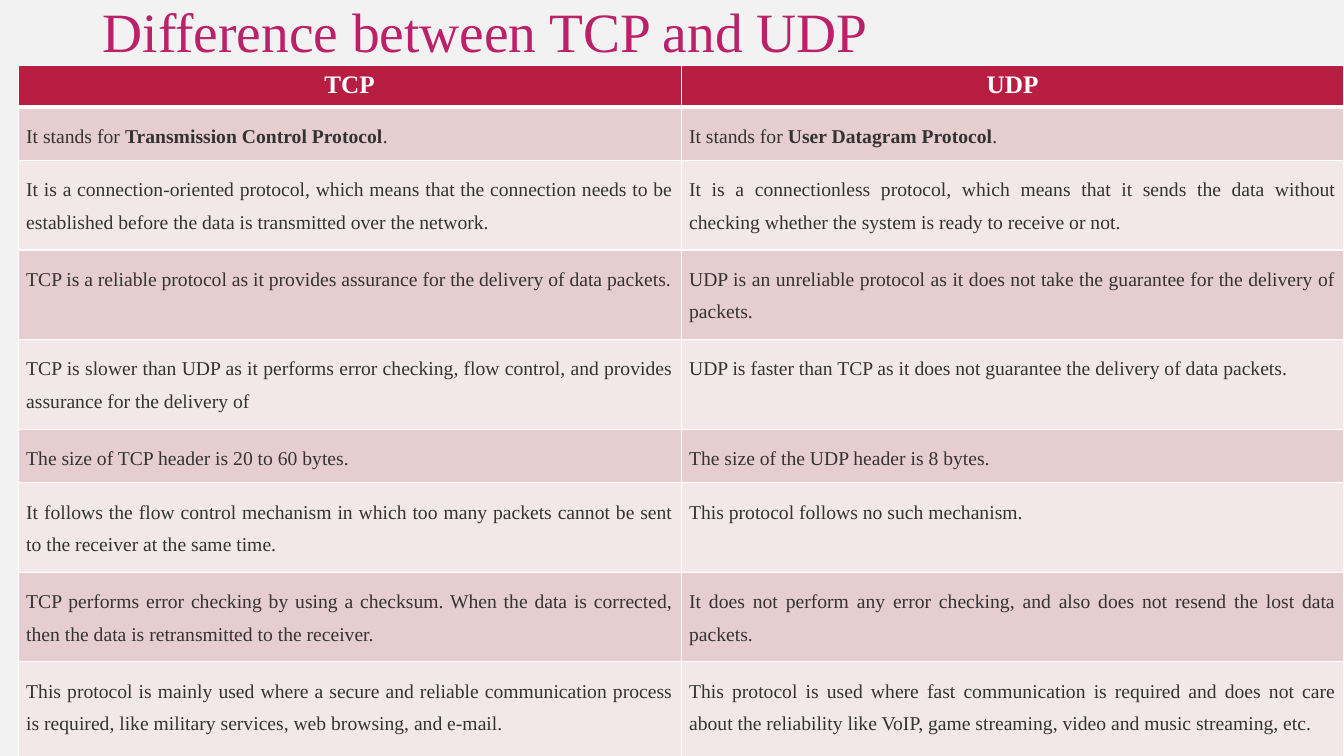
from dataclasses import dataclass

from lxml.etree import SubElement
from pptx import Presentation
from pptx.dml.color import RGBColor
from pptx.enum.text import MSO_ANCHOR, PP_ALIGN
from pptx.oxml.ns import qn
from pptx.util import Pt


@dataclass(frozen=True)
class Theme:
    """Colours, font and type sizes of the slide."""
    font: str = "Times New Roman"
    background: str = "F2F2F2"
    title: str = "BA2169"
    header: str = "B71E42"
    bands: tuple = ("E6CDCF", "F3E8E9")
    ink: str = "333333"
    white: str = "FFFFFF"
    title_size: float = 39.6
    header_size: float = 18
    body_size: float = 14


THEME = Theme()
SLIDE_WIDTH, SLIDE_HEIGHT = 960, 540
HEADER_HEIGHT = 29.5
RULE, HEADER_RULE = 1, 3
CELL_MARGIN = 5.75

PROTOCOLS = ("TCP", "UDP")
COMPARISONS = (
    (38.2, "It stands for **Transmission Control Protocol**.",
     "It stands for **User Datagram Protocol**."),
    (64, "It is a connection-oriented protocol, which means that the connection needs to be "
         "established before the data is transmitted over the network.",
     "It is a connectionless protocol, which means that it sends the data without "
     "checking whether the system is ready to receive or not."),
    (64, "TCP is a reliable protocol as it provides assurance for the delivery of data packets.",
     "UDP is an unreliable protocol as it does not take the guarantee for the delivery of packets."),
    (64, "TCP is slower than UDP as it performs error checking, flow control, and provides "
         "assurance for the delivery of",
     "UDP is faster than TCP as it does not guarantee the delivery of data packets."),
    (38.2, "The size of TCP header is 20 to 60 bytes.", "The size of the UDP header is 8 bytes."),
    (64, "It follows the flow control mechanism in which too many packets cannot be sent "
         "to the receiver at the same time.",
     "This protocol follows no such mechanism."),
    (64, "TCP performs error checking by using a checksum. When the data is corrected, "
         "then the data is retransmitted to the receiver.",
     "It does not perform any error checking, and also does not resend the lost data packets."),
    (68.4, "This protocol is mainly used where a secure and reliable communication process "
           "is required, like military services, web browsing, and e-mail.",
     "This protocol is used where fast communication is required and does not care "
     "about the reliability like VoIP, game streaming, video and music streaming, etc."),
)


def style_paragraph(paragraph, size, color, align, spacing=1.0):
    """Set the font, alignment and line spacing of a paragraph."""
    paragraph.font.name = THEME.font
    paragraph.font.size = Pt(size)
    paragraph.font.color.rgb = RGBColor.from_string(color)
    paragraph.alignment = align
    paragraph.line_spacing = spacing


def finish_cell(cell, fill, top=RULE, bottom=RULE):
    """Give a cell its white borders and its fill."""
    properties = cell._tc.get_or_add_tcPr()
    for side, width in (("L", RULE), ("R", RULE), ("T", top), ("B", bottom)):
        line = SubElement(properties, qn(f"a:ln{side}"), w=str(Pt(width)))
        SubElement(SubElement(line, qn("a:solidFill")), qn("a:srgbClr"), val=THEME.white)
    cell.fill.solid()
    cell.fill.fore_color.rgb = RGBColor.from_string(fill)


def fill_header(cell, protocol):
    """Write a protocol name as a column heading."""
    heading = cell.text_frame.paragraphs[0]
    heading.add_run().text = protocol
    style_paragraph(heading, THEME.header_size, THEME.white, PP_ALIGN.CENTER)
    heading.font.bold = True
    finish_cell(cell, THEME.header, bottom=HEADER_RULE)


def fill_statement(cell, statement, band, top):
    """Write a statement, with the parts between double asterisks in bold."""
    cell.margin_left = cell.margin_right = Pt(CELL_MARGIN)
    cell.margin_top = cell.margin_bottom = Pt(CELL_MARGIN)
    paragraph = cell.text_frame.paragraphs[0]
    style_paragraph(paragraph, THEME.body_size, THEME.ink, PP_ALIGN.JUSTIFY, 1.5)
    for position, part in enumerate(statement.split("**")):
        run = paragraph.add_run()
        run.text = part
        run.font.bold = position % 2 == 1
    finish_cell(cell, band, top=top)


def add_title(slide, left, top, width, height):
    """Place the slide title in the given box."""
    frame = slide.shapes.add_textbox(Pt(left), Pt(top), Pt(width), Pt(height)).text_frame
    frame.word_wrap = True
    frame.vertical_anchor = MSO_ANCHOR.MIDDLE
    title = frame.paragraphs[0]
    title.add_run().text = "Difference between TCP and UDP"
    style_paragraph(title, THEME.title_size, THEME.title, PP_ALIGN.LEFT, 0.9)


def add_comparison(slide, left, top, width, height):
    """Place the protocol comparison table in the given box."""
    table = slide.shapes.add_table(len(COMPARISONS) + 1, len(PROTOCOLS),
                                   Pt(left), Pt(top), Pt(width), Pt(height)).table
    for column, protocol in enumerate(PROTOCOLS):
        table.columns[column].width = Pt(width / len(PROTOCOLS))
        fill_header(table.cell(0, column), protocol)
    table.rows[0].height = Pt(HEADER_HEIGHT)
    for row, (row_height, *statements) in enumerate(COMPARISONS, start=1):
        table.rows[row].height = Pt(row_height)
        band = THEME.bands[(row - 1) % len(THEME.bands)]
        row_top = HEADER_RULE if row == 1 else RULE
        for column, statement in enumerate(statements):
            fill_statement(table.cell(row, column), statement, band, row_top)


def main():
    """Build and save the slide."""
    presentation = Presentation()
    presentation.slide_width = Pt(SLIDE_WIDTH)
    presentation.slide_height = Pt(SLIDE_HEIGHT)
    slide = presentation.slides.add_slide(presentation.slide_layouts[6])
    slide.background.fill.solid()
    slide.background.fill.fore_color.rgb = RGBColor.from_string(THEME.background)
    add_title(slide, 66.25, 10.8, 828, 28)
    add_comparison(slide, 13, 47, SLIDE_WIDTH - 13, SLIDE_HEIGHT - 47)
    presentation.save("out.pptx")


if __name__ == "__main__":
    main()
